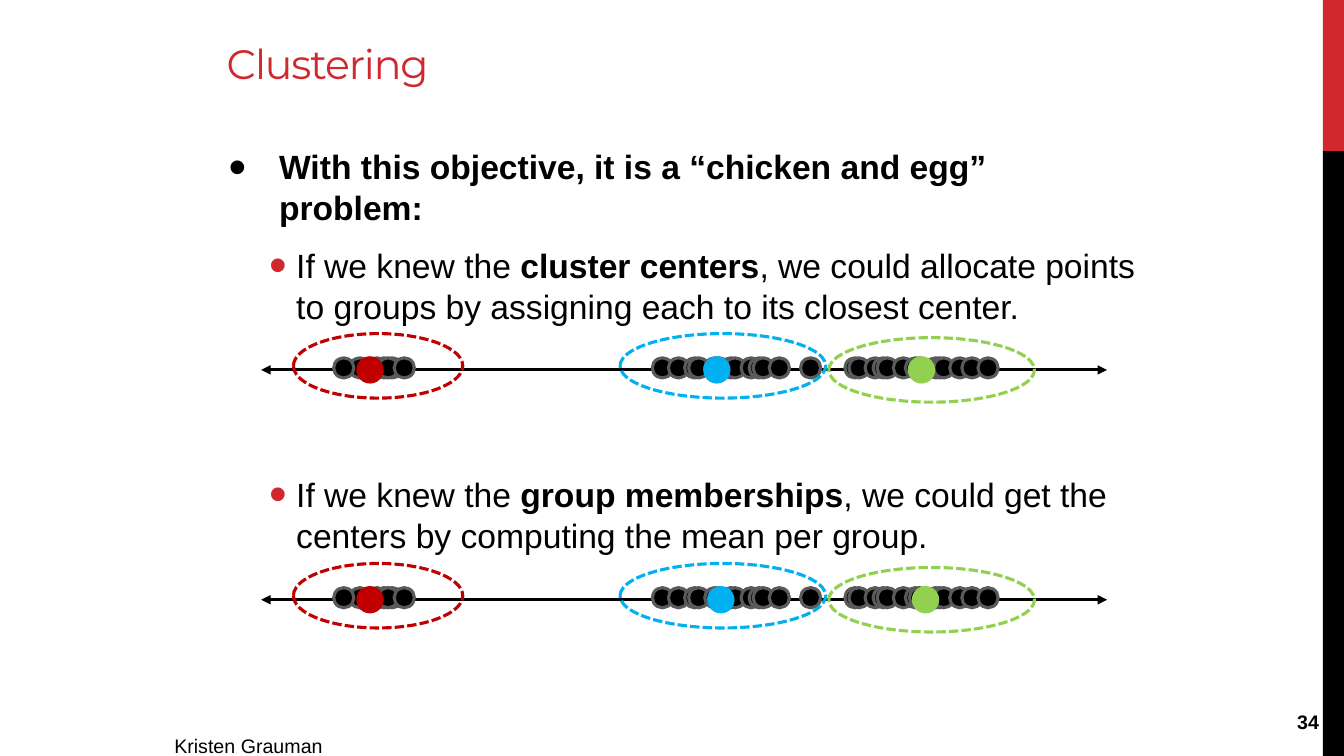
"""Build the clustering slide: two number lines with grouped points and centers."""
from lxml.etree import SubElement
from pptx import Presentation
from pptx.dml.color import RGBColor as RGB
from pptx.enum.dml import MSO_LINE as DASH
from pptx.enum.shapes import MSO_CONNECTOR as CONN, MSO_SHAPE as SHAPE
from pptx.enum.text import MSO_ANCHOR as ANCHOR, PP_ALIGN as ALIGN
from pptx.oxml.ns import qn
from pptx.util import Pt

PX = 9144
INK = {"red": "D1282E", "black": "000000", "rim": "5A5A5A",
       "wine": "C00000", "blue": "00B0F0", "green": "92D050"}


def draw(pool, kind, box, fill=None, rim=None, dash=None):
    shape = pool.add_shape(kind, *[n * PX for n in box])
    shape.shadow.inherit = False
    if fill:
        shape.fill.solid()
        shape.fill.fore_color.rgb = RGB.from_string(INK[fill])
    else:
        shape.fill.background()
    if rim:
        shape.line.color.rgb = RGB.from_string(INK[rim])
        shape.line.width = Pt(2.25)
        shape.line.dash_style = dash
    else:
        shape.line.fill.background()


def write(para, text, ink="black", **form):
    run = para.add_run()
    run.text = text
    run.font.color.rgb = RGB.from_string(INK[ink])
    for key, val in {"name": "Arial", "size": Pt(24), "bold": False, **form}.items():
        setattr(run.font, key, val)
    return run


deck = Presentation()
deck.slide_width, deck.slide_height = 1333 * PX, 750 * PX
slide = deck.slides.add_slide(deck.slide_layouts[6])
pool = slide.shapes

draw(pool, SHAPE.RECTANGLE, (1312, 0, 21, 150), "red")
draw(pool, SHAPE.RECTANGLE, (1312, 150, 21, 600), "black")

labels = [
    ("Clustering", (215, 0, 900, 125), ANCHOR.MIDDLE, ALIGN.LEFT,
     {"ink": "red", "name": "Montserrat", "size": Pt(29.3)}),
    ("Kristen Grauman", (163, 723, 281, 34), ANCHOR.TOP, ALIGN.LEFT, {"size": Pt(14)}),
    ("34", (1234, 689, 84, 53), ANCHOR.MIDDLE, ALIGN.RIGHT, {"size": Pt(14), "bold": True}),
]
for text, box, anchor, align, form in labels:
    frame = pool.add_textbox(*[n * PX for n in box]).text_frame
    frame.word_wrap = True
    frame.vertical_anchor = anchor
    frame.paragraphs[0].alignment = align
    run = write(frame.paragraphs[0], text, **form)
    if text == "Clustering":
        run.font._element.set("spc", "-80")

points = [
    (0, 0, 50, -50, "black", [("With this objective, it is a “chicken and egg” problem:", True)]),
    (1, 12.5, 67, -27, "red",
     [("If we knew the ", False), ("cluster centers", True),
      (", we could allocate points to groups by assigning each to its closest center.", False)]),
    (1, 105.5, 67, -27, "red",
     [("If we knew the ", False), ("group memberships", True),
      (", we could get the centers by computing the mean per group.", False)]),
]
body = pool.add_textbox(217 * PX, 140 * PX, 920 * PX, 495 * PX).text_frame
body.word_wrap = True
for i, (level, gap, left, hang, ink, runs) in enumerate(points):
    para = body.add_paragraph() if i else body.paragraphs[0]
    para.level = level
    para.line_spacing = Pt(29)
    para.space_before = Pt(gap)
    props = para._p.get_or_add_pPr()
    props.set("marL", str(left * PX))
    props.set("indent", str(hang * PX))
    tint = SubElement(props, qn("a:buClr"))
    SubElement(tint, qn("a:srgbClr"), val=INK[ink])
    SubElement(props, qn("a:buSzPct"), val="150000")
    SubElement(props, qn("a:buFont"), typeface="Arial")
    SubElement(props, qn("a:buChar"), char="•")
    for text, bold in runs:
        write(para, text, bold=bold)

dots = [347, 364, 331, 379, 647, 663, 679, 683, 699, 703, 371, 375, 391,
        838, 842, 858, 866, 870, 886, 715, 719, 735, 743, 747, 763, 794,
        898, 902, 918, 922, 926, 942, 954, 970]
rings = [("wine", 291, 0, 168), ("blue", 615, 0, 204), ("green", 822, 4, 204)]
for top, means in [(355, (355, 699, 902)), (583, (355, 703, 906))]:
    group = pool.add_group_shape().shapes
    axis = group.add_connector(CONN.STRAIGHT, 259 * PX, (top + 12) * PX,
                               1098 * PX, (top + 12) * PX)
    axis.line.color.rgb = RGB.from_string(INK["black"])
    axis.line.width = Pt(2.25)
    for end in ("headEnd", "tailEnd"):
        SubElement(axis.line._get_or_add_ln(), qn(f"a:{end}"), type="triangle")
    SubElement(axis._element.spPr, qn("a:effectLst"))
    for x in dots:
        draw(group, SHAPE.OVAL, (x, top, 20, 20), "black", "rim")
    for (ink, left, drop, width), mean in zip(rings, means):
        draw(pool, SHAPE.OVAL, (mean, top, 24, 24), ink, ink)
        draw(pool, SHAPE.OVAL, (left, top - 24 + drop, width, 64),
             rim=ink, dash=DASH.SQUARE_DOT)

deck.save("out.pptx")
